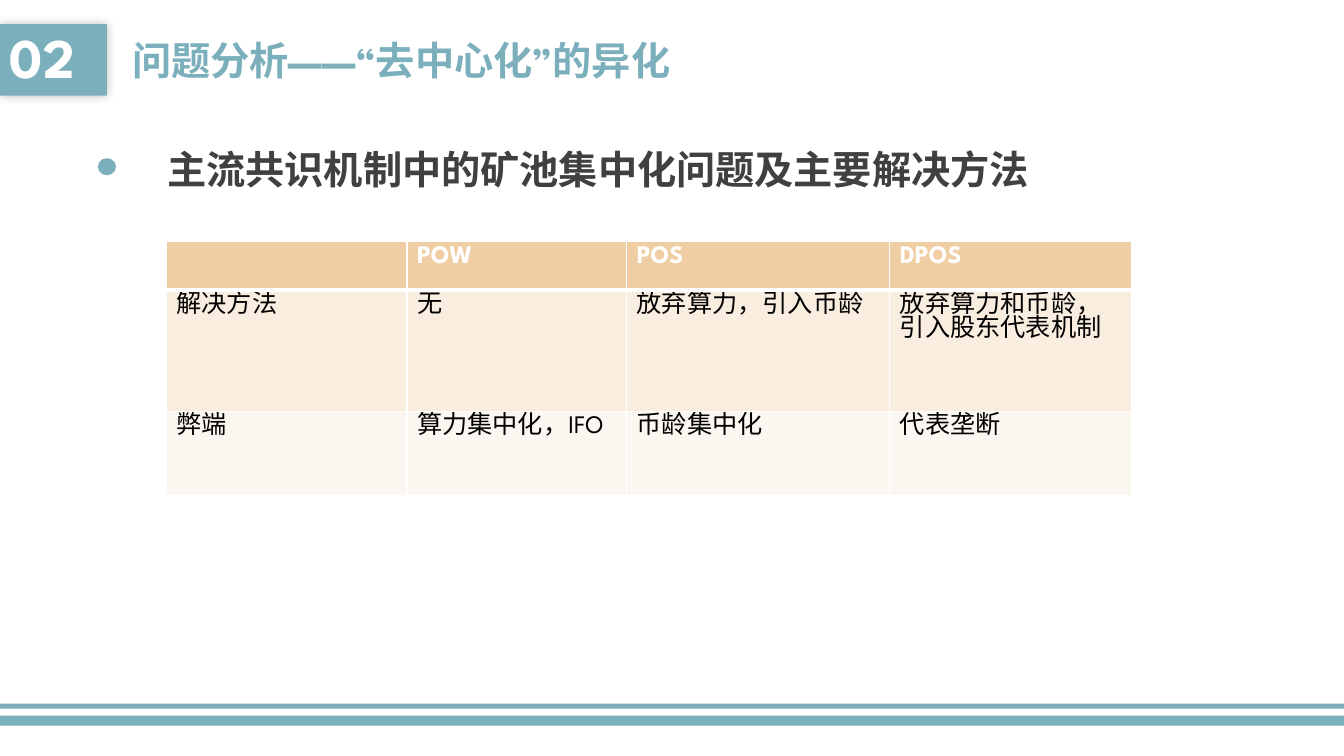
from lxml.etree import SubElement
from pptx import Presentation
from pptx.dml.color import RGBColor
from pptx.enum.lang import MSO_LANGUAGE_ID
from pptx.enum.shapes import MSO_SHAPE
from pptx.enum.text import MSO_ANCHOR, MSO_AUTO_SIZE, PP_ALIGN
from pptx.oxml import parse_xml
from pptx.oxml.ns import nsdecls, qn
from pptx.util import Inches, Pt

WIDTH, HEIGHT = Inches(13.33), Inches(7.5)
FONT = "League Spartan"
TEAL = RGBColor(0x7C, 0xAF, 0xBC)
WHITE = RGBColor(0xFF, 0xFF, 0xFF)
BLACK = RGBColor(0x00, 0x00, 0x00)
CHARCOAL = RGBColor(0x40, 0x40, 0x40)
ROW_FILLS = [RGBColor(0xF0, 0xCE, 0xA3), RGBColor(0xF9, 0xED, 0xE0), RGBColor(0xFC, 0xF6, 0xF0)]

# Table content, with column and row sizes as percent of the slide
COLUMN_SHARES = [17.9, 16.35, 19.58, 18]
ROW_SHARES = [6.53, 16, 11.2]
MECHANISMS = [
    ["", "POW", "POS", "DPOS"],
    ["解决方法", "无", "放弃算力，引入币龄", "放弃算力和币龄，引入股东代表机制"],
    ["弊端", "算力集中化，IFO", "币龄集中化", "代表垄断"],
]


def across(percent):
    return round(WIDTH * percent / 100)


def down(percent):
    return round(HEIGHT * percent / 100)


def area(left, top, width, height):
    """Turn percent of the slide into left, top, width and height."""
    return across(left), down(top), across(width), down(height)


def apply_format(target, values):
    for name, value in values.items():
        setattr(target, name, value)


def write_text(frame, text, size, color, bold=True, **para_format):
    para = frame.paragraphs[0]
    apply_format(para, {"alignment": PP_ALIGN.LEFT, "space_before": Pt(0), **para_format})
    if not text:
        return
    span = para.add_run()
    span.text = text
    apply_format(span.font, {
        "name": FONT, "size": Pt(size), "bold": bold,
        "language_id": MSO_LANGUAGE_ID.SIMPLIFIED_CHINESE,
    })
    span.font.color.rgb = color
    SubElement(span.font._element, qn("a:ea"), typeface=FONT)


def add_block(page, kind, place):
    block = page.shapes.add_shape(kind, *place)
    block.shadow.inherit = False
    block.fill.solid()
    block.fill.fore_color.rgb = TEAL
    block.line.fill.background()
    return block


def add_badge(page, number, place):
    badge = add_block(page, MSO_SHAPE.RECTANGLE, place)
    badge.text_frame.vertical_anchor = MSO_ANCHOR.MIDDLE
    write_text(badge.text_frame, number, 40, WHITE, line_spacing=0.9, space_before=Pt(10))
    # Soft glow-like shadow around the badge
    effects = badge._element.spPr.find(qn("a:effectLst"))
    effects.append(parse_xml(
        f'<a:outerShdw {nsdecls("a")} blurRad="{Pt(7)}" dist="0" dir="0">'
        '<a:srgbClr val="000000"><a:alpha val="25000"/></a:srgbClr></a:outerShdw>'))


def fill_placeholder(box, text, place, color, anchor, wrap, **para_format):
    apply_format(box, dict(zip(("left", "top", "width", "height"), place)))
    apply_format(box.text_frame, {
        "auto_size": MSO_AUTO_SIZE.NONE, "vertical_anchor": anchor, "word_wrap": wrap,
    })
    write_text(box.text_frame, text, 28, color, **para_format)


def remove_bullet(para):
    properties = para._p.get_or_add_pPr()
    properties.set("marL", "0")
    properties.set("indent", "0")
    SubElement(properties, qn("a:buNone"))


def set_borders(cell, widths):
    properties = cell._tc.get_or_add_tcPr()
    for position, (side, width) in enumerate(widths.items()):
        properties.insert(position, parse_xml(
            f'<a:{side} {nsdecls("a")} w="{Pt(width)}"><a:solidFill>'
            f'<a:srgbClr val="{WHITE}"/></a:solidFill></a:{side}>'))


def add_mechanism_table(page, left, top):
    place = area(left, top, sum(COLUMN_SHARES), sum(ROW_SHARES))
    table = page.shapes.add_table(len(ROW_SHARES), len(COLUMN_SHARES), *place).table
    table.horz_banding = False
    for column, share in zip(table.columns, COLUMN_SHARES):
        column.width = across(share)
    for index, (row, share) in enumerate(zip(table.rows, ROW_SHARES)):
        row.height = down(share)
        header = index == 0
        for cell, text in zip(row.cells, MECHANISMS[index]):
            cell.fill.solid()
            cell.fill.fore_color.rgb = ROW_FILLS[index]
            write_text(cell.text_frame, text, 18, WHITE if header else BLACK, bold=header)
            set_borders(cell, {"lnL": 1, "lnR": 1, "lnT": 3 if index == 1 else 1,
                               "lnB": 3 if header else 1})


def main():
    deck = Presentation()
    apply_format(deck, {"slide_width": WIDTH, "slide_height": HEIGHT})
    page = deck.slides.add_slide(deck.slide_layouts[1])
    title, body = page.placeholders

    # Footer bands
    for top, height in ((94.67, 1.33), (93.07, 0.67)):
        add_block(page, MSO_SHAPE.RECTANGLE, area(0, top, 100, height))

    # Section number and title
    add_badge(page, "02", area(0, 3.2, 7.95, 9.47))
    fill_placeholder(title, "问题分析——“去中心化”的异化", area(9.08, 3.2, 52.81, 9.47),
                     TEAL, MSO_ANCHOR.MIDDLE, True, space_before=Pt(10))

    # Subheading with its dot
    fill_placeholder(body, "主流共识机制中的矿池集中化问题及主要解决方法",
                     area(11.7, 16.67, 66.32, 9.47), CHARCOAL, MSO_ANCHOR.TOP, False,
                     line_spacing=1.3)
    remove_bullet(body.text_frame.paragraphs[0])
    add_block(page, MSO_SHAPE.OVAL, area(7.28, 20.93, 1.35, 2.27))

    # Comparison of consensus mechanisms
    add_mechanism_table(page, 12.38, 31.87)
    deck.save("out.pptx")


if __name__ == "__main__":
    main()
